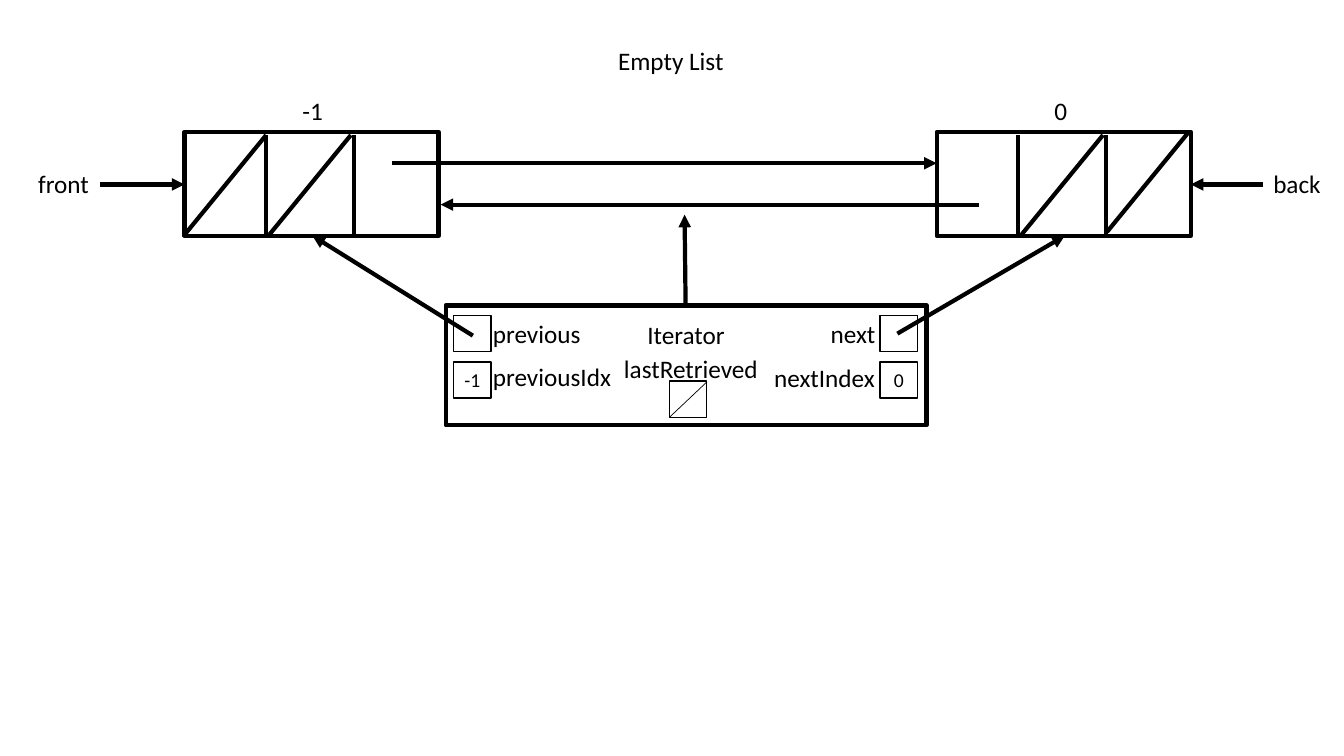
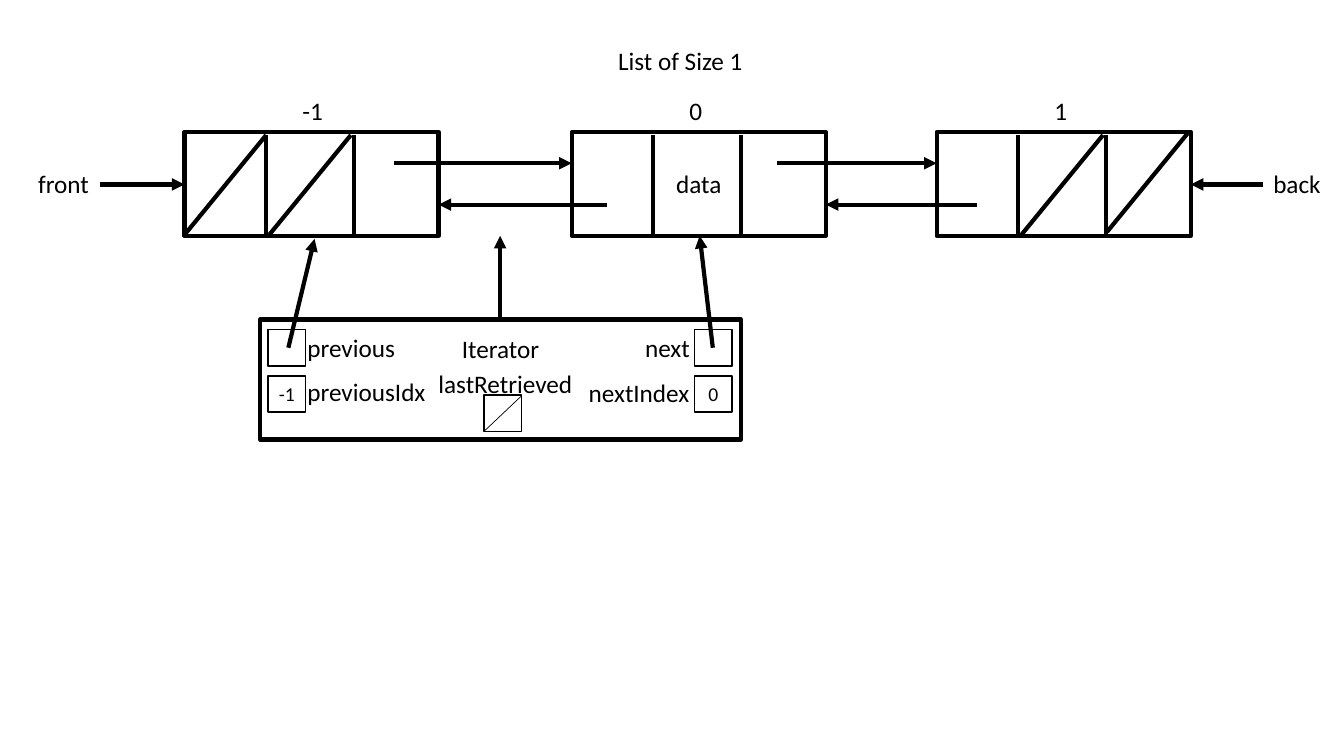
"""Draw a doubly linked list and its iterator, empty and with one element."""
from lxml.etree import SubElement
from pptx import Presentation
from pptx.dml.color import RGBColor
from pptx.enum.shapes import MSO_CONNECTOR as CONN, MSO_SHAPE as SHAPE
from pptx.enum.text import MSO_ANCHOR as ANCHOR, MSO_AUTO_SIZE as AUTO, PP_ALIGN as ALIGN
from pptx.oxml.ns import qn
from pptx.util import Emu, Pt

PX = 9144
INK, PAPER = "000000", "FFFFFF"
FONT = "Calibri"
THICK, THIN, HAIR = 3, 1, 0.5
NODE_Y, NODE_W, NODE_H = 131, 252, 103
FRONT_X, MIDDLE_X, BACK_X = 183, 567, 929
DIVIDERS = (81, 168)
SLASHES = ((0, 102), (84, 102), (169, 99))
NEXT_Y, PREVIOUS_Y, END_Y = 162, 203, 183
TEXT_H = 40
SLOT_W, SLOT_H = 37, 36


def px(*values):
    return [Emu(v * PX) for v in values]


def color(hex_text):
    return RGBColor.from_string(hex_text)


def write(sp, text, size=18, align=ALIGN.LEFT, anchor=ANCHOR.TOP,
          fit=AUTO.NONE, top=5):
    tf = sp.text_frame
    tf.word_wrap = False
    tf.auto_size = fit
    tf.vertical_anchor = anchor
    tf.margin_left, tf.margin_top, tf.margin_right, tf.margin_bottom = px(10, top, 10, 5)
    p = tf.paragraphs[0]
    p.alignment = align
    r = p.add_run()
    r.text = text
    r.font.name, r.font.size = FONT, Pt(size)
    r.font.color.rgb = color(INK)


def add_label(s, text, x, y, w):
    sp = s.shapes.add_textbox(*px(x, y, w, TEXT_H))
    write(sp, text, fit=AUTO.SHAPE_TO_FIT_TEXT)


def add_box(s, x, y, w, h, weight=THICK, text="", **text_format):
    sp = s.shapes.add_shape(SHAPE.RECTANGLE, *px(x, y, w, h))
    sp.shadow.inherit = False
    sp.fill.solid()
    sp.fill.fore_color.rgb = color(PAPER)
    sp.line.color.rgb = color(INK)
    sp.line.width = Pt(weight)
    if text:
        write(sp, text, **{"align": ALIGN.CENTER, "anchor": ANCHOR.MIDDLE, **text_format})


def add_line(s, x1, y1, x2, y2, weight=THICK, arrow=False):
    c = s.shapes.add_connector(CONN.STRAIGHT, *px(x1, y1, x2, y2))
    c.line.color.rgb = color(INK)
    c.line.width = Pt(weight)
    props = c.element.spPr
    if arrow:
        SubElement(props.find(qn("a:ln")), qn("a:tailEnd"), type="triangle")
    SubElement(props, qn("a:effectLst"))


def add_arrows(s, *arrows):
    for ends in arrows:
        add_line(s, *ends, arrow=True)


def add_node(s, x, index, index_w=33, empty_cells=(), text=""):
    add_box(s, x, NODE_Y, NODE_W, NODE_H, text=text)
    for dx in DIVIDERS:
        add_line(s, x + dx, NODE_Y + 3, x + dx, NODE_Y + 101)
    for cell in empty_cells:
        dx, dy = SLASHES[cell]
        add_line(s, x + dx, NODE_Y + dy, x + dx + 81, NODE_Y + dy - 99)
    add_label(s, index, x + 107, 90, index_w)


def add_iterator(s, x, y):
    add_box(s, x, y, 477, 119, text="Iterator", anchor=ANCHOR.TOP, top=14)
    for dx, dy, text in ((8, 10, ""), (8, 56, "-1"), (431, 10, ""),
                         (431, 56, "0"), (222, 75, "")):
        add_box(s, x + dx, y + dy, SLOT_W, SLOT_H, THIN, text, size=14)
    for text, dx, dy, w in (("previous", 37, 8, 108), ("previousIdx", 37, 51, 139),
                            ("next", 372, 8, 65), ("nextIndex", 316, 52, 121),
                            ("lastRetrieved", 167, 43, 154)):
        add_label(s, text, x + dx, y + dy, w)
    add_line(s, x + 222, y + 111, x + 259, y + 76, HAIR)


def add_list_slide(prs, title, title_w, back_index):
    s = prs.slides.add_slide(prs.slide_layouts[5])
    sp = s.shapes.title
    sp.left, sp.top, sp.width, sp.height = px(603, 40, title_w, TEXT_H)
    write(sp, title, fit=AUTO.SHAPE_TO_FIT_TEXT)
    add_node(s, FRONT_X, "-1", 41, empty_cells=(0, 1))
    add_node(s, BACK_X, back_index, empty_cells=(1, 2))
    add_label(s, "front", 28, 162, 71)
    add_label(s, "back", 1253, 162, 68)
    add_arrows(s, (99, END_Y, FRONT_X, END_Y),
               (1253, END_Y, BACK_X + NODE_W, END_Y))
    return s


def add_empty_list(prs):
    s = add_list_slide(prs, "Empty List", 126, "0")
    add_arrows(s, (389, NEXT_Y, BACK_X, NEXT_Y), (971, PREVIOUS_Y, 437, PREVIOUS_Y))
    add_iterator(s, 442, 303)
    add_arrows(s, (680, 303, 679, 213), (469, 333, 310, 234), (890, 331, 1056, 234))


def add_list_of_one(prs):
    s = add_list_slide(prs, "List of Size 1", 145, "1")
    add_node(s, MIDDLE_X, "0", text="data")
    add_arrows(s, (391, NEXT_Y, MIDDLE_X, NEXT_Y), (771, NEXT_Y, BACK_X, NEXT_Y),
               (969, PREVIOUS_Y, MIDDLE_X + NODE_W, PREVIOUS_Y),
               (602, PREVIOUS_Y, FRONT_X + NODE_W, PREVIOUS_Y))
    add_iterator(s, 258, 317)
    add_arrows(s, (496, 317, 496, 234), (286, 345, 312, 237), (707, 345, 694, 234))


def main():
    prs = Presentation()
    prs.slide_width, prs.slide_height = px(1333, 750)
    add_empty_list(prs)
    add_list_of_one(prs)
    prs.save("out.pptx")


if __name__ == "__main__":
    main()
